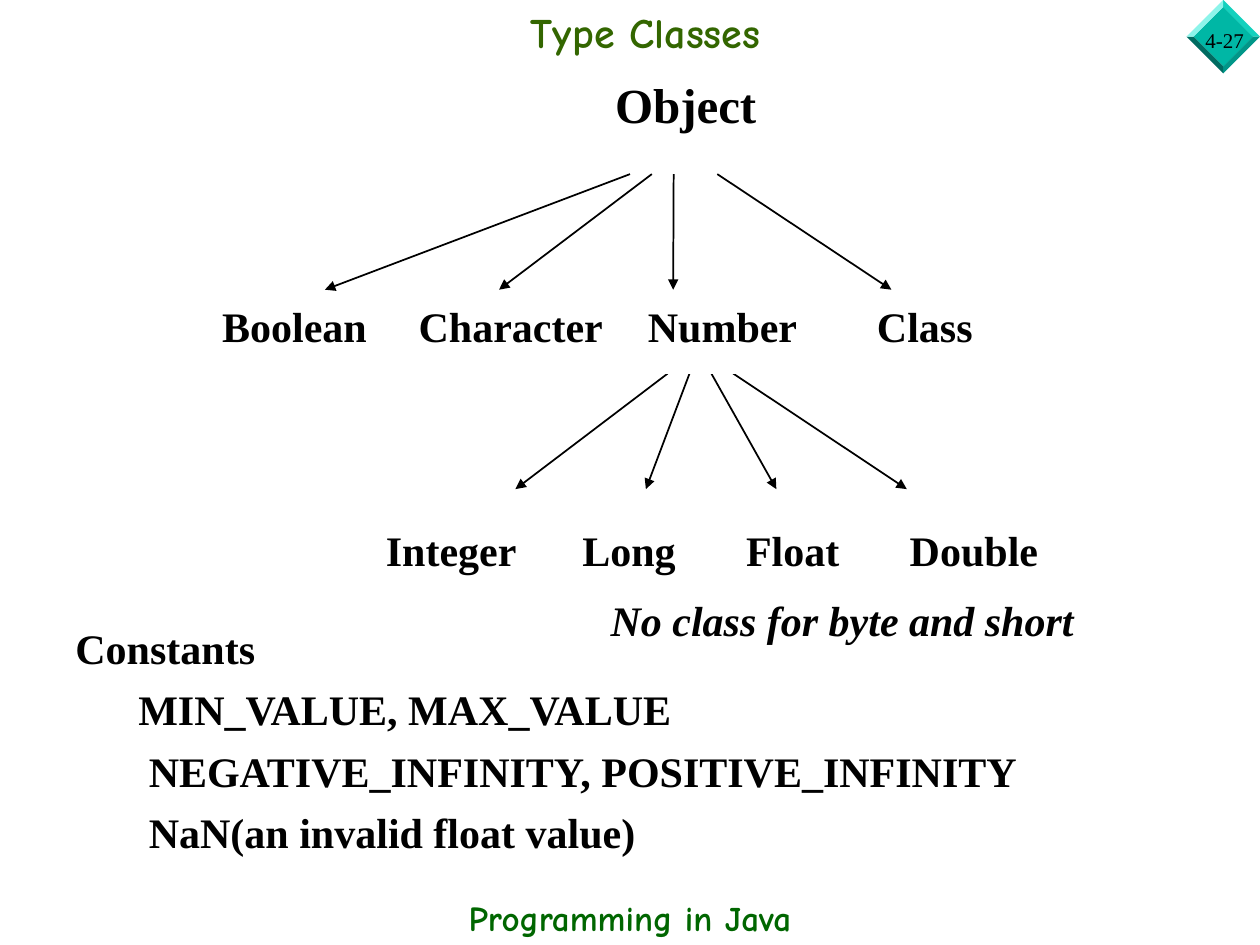
from lxml import etree
from pptx import Presentation
from pptx.dml.color import RGBColor
from pptx.enum.shapes import MSO_CONNECTOR, MSO_SHAPE
from pptx.enum.text import MSO_ANCHOR, MSO_AUTO_SIZE, PP_ALIGN
from pptx.oxml.ns import qn
from pptx.util import Cm, Pt

BLACK = RGBColor(0x00, 0x00, 0x00)
WHITE = RGBColor(0xFF, 0xFF, 0xFF)
TITLE_GREEN = RGBColor(0x33, 0x66, 0x00)
FOOTER_GREEN = RGBColor(0x00, 0x66, 0x00)
GEM_FACE = RGBColor(0x00, 0xB7, 0xA5)
GEM_TOP_RIGHT = RGBColor(0x14, 0xD1, 0xBE)
GEM_TOP_LEFT = RGBColor(0x8C, 0xF4, 0xEA)
GEM_BOTTOM_RIGHT = RGBColor(0x00, 0x96, 0x88)
GEM_BOTTOM_LEFT = RGBColor(0x00, 0x6B, 0x61)

SERIF = "Times New Roman"
COMIC = "Comic Neue"

# Class tree: columns are counted in grid steps
GRID_LEFT, GRID_STEP = 4.45, 0.66
NODE_HEIGHT = 1.52


class SlideBuilder:
    def __init__(self, slide):
        self.slide = slide
        self.shapes = slide.shapes

    def format_text(self, frame, size, font=SERIF, color=BLACK, bold=True,
                    italic=False, align=PP_ALIGN.LEFT, line_spacing=None):
        frame.word_wrap = True
        for paragraph in frame.paragraphs:
            paragraph.alignment = align
            if line_spacing:
                paragraph.line_spacing = line_spacing
            for run in paragraph.runs:
                run.font.name = font
                run.font.size = Pt(size)
                run.font.bold = bold
                run.font.italic = italic
                run.font.color.rgb = color

    def title(self, text, left, top, width, height):
        title = self.shapes.title
        title.left, title.top = Cm(left), Cm(top)
        title.width, title.height = Cm(width), Cm(height)
        frame = title.text_frame
        frame.text = text
        frame.auto_size = MSO_AUTO_SIZE.NONE
        frame.vertical_anchor = MSO_ANCHOR.MIDDLE
        self.format_text(frame, 24, COMIC, TITLE_GREEN, align=PP_ALIGN.CENTER)

    def text(self, text, left, top, width, height, size, **style):
        box = self.shapes.add_textbox(Cm(left), Cm(top), Cm(width), Cm(height))
        box.text_frame.text = text
        self.format_text(box.text_frame, size, **style)
        return box.text_frame

    def node(self, text, column, span, top, size=24):
        node = self.shapes.add_shape(
            MSO_SHAPE.RECTANGLE, Cm(GRID_LEFT + column * GRID_STEP), Cm(top),
            Cm(span * GRID_STEP), Cm(NODE_HEIGHT))
        node.shadow.inherit = False
        node.fill.solid()
        node.fill.fore_color.rgb = WHITE
        node.line.fill.background()
        frame = node.text_frame
        frame.text = text
        frame.vertical_anchor = MSO_ANCHOR.TOP
        frame.margin_left = frame.margin_right = Cm(0.03)
        frame.margin_top = frame.margin_bottom = Cm(0.03)
        self.format_text(frame, size)

    def arrow(self, x1, y1, x2, y2):
        arrow = self.shapes.add_connector(
            MSO_CONNECTOR.STRAIGHT, Cm(x1), Cm(y1), Cm(x2), Cm(y2))
        arrow.line.color.rgb = BLACK
        arrow.line.width = Pt(1)
        etree.SubElement(arrow.line._get_or_add_ln(), qn("a:tailEnd"),
                         type="triangle")
        etree.SubElement(arrow._element.spPr, qn("a:effectLst"))

    def polygon(self, points, color):
        start, *rest = [(Cm(x), Cm(y)) for x, y in points]
        outline = self.shapes.build_freeform(*start)
        outline.add_line_segments(rest, close=True)
        polygon = outline.convert_to_shape()
        polygon.shadow.inherit = False
        polygon.fill.solid()
        polygon.fill.fore_color.rgb = color
        polygon.line.fill.background()


def diamond(radius, center_x=24.66, center_y=0.74):
    """Corners in the order top, right, bottom, left."""
    return [(center_x, center_y - radius), (center_x + radius, center_y),
            (center_x, center_y + radius), (center_x - radius, center_y)]


def main():
    prs = Presentation()
    prs.slide_width, prs.slide_height = Cm(25.4), Cm(19.05)
    page = SlideBuilder(prs.slides.add_slide(prs.slide_layouts[5]))

    # Page number on a bevelled gem
    inner, outer = diamond(0.6), diamond(0.74)
    page.polygon(inner, GEM_FACE)
    bevels = [GEM_TOP_RIGHT, GEM_BOTTOM_RIGHT, GEM_BOTTOM_LEFT, GEM_TOP_LEFT]
    for side, color in enumerate(bevels):
        after = (side + 1) % 4
        page.polygon([inner[side], outer[side], outer[after], inner[after]],
                     color)
    page.text("4-27", 24.05, 0.43, 1.35, 0.76, 12, bold=False)

    # Title and footer
    page.title("Type Classes", 2.22, 0, 21.59, 1.27)
    page.text("Programming in Java", 0, 17.95, 25.4, 1.1, 20, font=COMIC,
              color=FOOTER_GREEN, align=PP_ALIGN.CENTER)

    # Arrows from Object to its subclasses
    for start, end in [(12.7, 6.55), (13.14, 10.06), (13.58, 13.57),
                       (14.46, 17.97)]:
        page.arrow(start, 3.51, end, 5.84)

    # Arrows from Number to its subclasses
    for i in range(4):
        page.arrow(13.46 + 0.44 * i, 7.53, 10.39 + 2.63 * i, 9.86)

    # Class names: column, span in grid steps
    page.node("Object", 12, 5, 1.47, size=28)
    levels = [
        (6.02, [("Boolean", 0, 5), ("Character", 6, 6),
                ("Number", 13, 5), ("Class", 20, 5)]),
        (10.54, [("Integer", 5, 5), ("Long", 11, 4),
                 ("Float", 16, 4), ("Double", 21, 5)]),
    ]
    for top, classes in levels:
        for name, column, span in classes:
            page.node(name, column, span, top)

    # Remark
    page.text("No class for byte and short", 12.06, 12.06, 11.86, 1.07, 24,
              italic=True, line_spacing=0.8)

    # Constants
    constants = page.text(
        "Constants\nMIN_VALUE, MAX_VALUE\n"
        "NEGATIVE_INFINITY, POSITIVE_INFINITY\nNaN(an invalid float value)",
        1.27, 12.7, 23.06, 4.45, 24, line_spacing=0.7)
    for paragraph, indent in zip(constants.paragraphs[1:], (1.27, 1.48, 1.48)):
        paragraph.space_before = Pt(15)
        paragraph._p.get_or_add_pPr().set("marL", str(Cm(indent)))

    prs.save("out.pptx")


if __name__ == "__main__":
    main()
